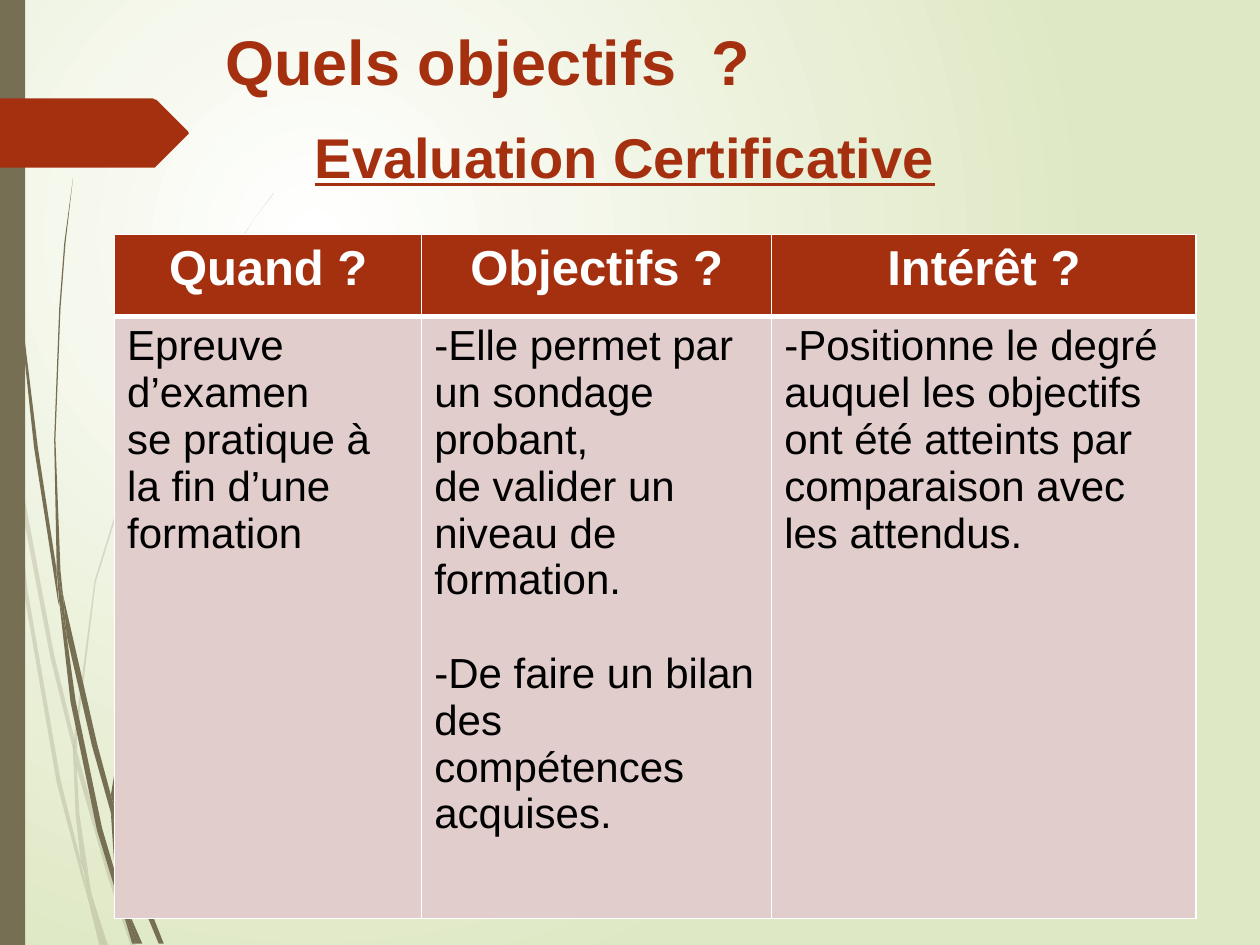
from pptx import Presentation
from pptx import util as u
from pptx.dml.color import RGBColor
from pptx.enum import shapes, text
from pptx.oxml.ns import qn
from lxml import etree

COLORS = {"rust": "A53010", "olive": "766F54", "pink": "E1CDCC",
          "leaf": "DFE8C4", "white": "FFFFFF", "black": "000000"}
FONT = "Arial"

# Headings: text, size, underlined, (left, top, width, height)
HEADINGS = [
    ("Quels objectifs  ?", 36, False, (121.7, 9.4, 561.6, 51)),
    ("Evaluation Certificative", 32, True, (172.8, 66.2, 425.5, 46)),
]

# Table: one (heading, width, paragraphs) per column
COLUMNS = [
    ("Quand ?", 175.5, ["Epreuve d’examen",
                        "se pratique à la fin d’une formation"]),
    ("Objectifs ?", 200, ["-Elle permet par un sondage probant,",
                          "de valider un niveau de formation.",
                          "-De faire un bilan des compétences acquises."]),
    ("Intérêt ?", 242.5, ["-Positionne le degré auquel les objectifs ont été "
                          "atteints par comparaison avec les attendus."]),
]
TABLE_LEFT, TABLE_TOP = 65.5, 134
ROW_HEIGHTS = [46.8, 344.2]
GAP_BEFORE = {"-De faire un bilan des compétences acquises.": 26.7}

# Outlines on a grid of 0.72 points
GRID = 0.72
PALE_BLADES = [
    [(8, 350), (6, 322), (0, 282), (0, 299), (7, 344)],
    [(40, 522), (59, 599), (59, 586), (43, 520), (10, 345), (12, 376)],
    [(64, 607), (61, 596), (61, 610), (85, 694), (104, 751), (108, 751),
     (88, 692)],
    [(83, 751), (86, 751), (73, 711)],
    [(64, 683), (48, 619), (22, 469), (12, 376), (8, 350), (19, 470),
     (45, 621), (64, 693), (70, 714), (69, 707)],
    [(58, 599), (60, 646), (64, 683), (67, 692), (73, 711), (72, 706),
     (63, 646), (61, 610), (61, 608)],
    [(61, 584), (76, 462), (111, 349), (159, 245), (187, 198), (201, 175),
     (217, 154), (217, 153), (201, 175), (186, 197), (158, 244), (110, 348),
     (75, 461), (59, 584), (59, 586), (61, 596)],
    [(70, 714), (79, 751), (82, 751)],
    [(61, 608), (61, 610), (61, 596), (59, 586), (58, 599)],
    [(67, 692), (65, 683), (69, 707), (70, 714), (82, 751), (83, 751),
     (73, 711)],
]
DARK_BLADES = [
    [(5, 110), (14, 233), (27, 355), (46, 477), (47, 481), (45, 457),
     (45, 453), (30, 355), (15, 232), (6, 109), (4, 48), (3, 0), (2, 0),
     (3, 48)],
    [(73, 592), (88, 645), (88, 633), (88, 631), (77, 590), (50, 472),
     (53, 505)],
    [(94, 649), (91, 641), (91, 656), (109, 708), (126, 749), (130, 749),
     (113, 706)],
    [(91, 691), (81, 657), (60, 556), (53, 505), (47, 477), (56, 557),
     (77, 659), (92, 708), (97, 722), (96, 717)],
    [(50, 472), (48, 453), (44, 349), (48, 245), (52, 193), (58, 141),
     (51, 193), (47, 245), (43, 349), (45, 449), (49, 472)],
    [(110, 749), (113, 749), (100, 719)],
    [(47, 477), (53, 505), (50, 472), (49, 472), (45, 449), (45, 453)],
    [(91, 633), (103, 552), (131, 476), (169, 406), (191, 374), (203, 359),
     (216, 344), (215, 344), (203, 358), (191, 373), (168, 405), (129, 474),
     (101, 551), (88, 631), (91, 641)],
    [(97, 722), (105, 749), (108, 749)],
    [(88, 645), (91, 691), (96, 706), (100, 719), (100, 716), (91, 656),
     (90, 651)],
    [(88, 645), (90, 651), (91, 656), (91, 641), (88, 631), (88, 633)],
    [(96, 706), (91, 691), (96, 717), (97, 722), (108, 749), (110, 749),
     (100, 719)],
]
ARROW = [(149, 107), (124, 132), (123, 133), (121, 133), (0, 133), (0, 78),
         (121, 78), (123, 79), (124, 79), (149, 104), (149.5, 105.5)]


def rgb(name):
    return RGBColor.from_string(COLORS[name])


def paint(shape, color, opacity=100):
    shape.shadow.inherit = False
    shape.fill.solid()
    shape.fill.fore_color.rgb = rgb(color)
    shape.line.fill.background()
    if opacity < 100:
        tint = shape.fill._xPr.find(".//" + qn("a:srgbClr"))
        etree.SubElement(tint, qn("a:alpha"), val=str(opacity * 1000))


def draw_outline(page, points, color, opacity=100):
    builder = page.shapes.build_freeform(*points[0], scale=u.Pt(GRID))
    builder.add_line_segments(points[1:], close=True)
    paint(builder.convert_to_shape(), color, opacity)


def style(para, size, color, bold=False, underline=False):
    for span in para.runs:
        font = span.font
        font.name, font.size, font.bold = FONT, u.Pt(size), bold
        font.color.rgb = rgb(color)
        if underline:
            font.underline = True


def set_borders(cell, bottom):
    props = cell._tc.get_or_add_tcPr()
    sides = {"a:lnL": 1, "a:lnR": 1, "a:lnT": 1, "a:lnB": bottom}
    for place, (tag, width) in enumerate(sides.items()):
        line = etree.Element(qn(tag), w=str(u.Pt(width)))
        fill = etree.SubElement(line, qn("a:solidFill"))
        etree.SubElement(fill, qn("a:srgbClr"), val=COLORS["white"])
        props.insert(place, line)


def set_background(page):
    fill = page.background.fill
    fill.gradient()
    for stop, position, color in zip(fill.gradient_stops, (0, 1),
                                     ("white", "leaf")):
        stop.position = position
        stop.color.rgb = rgb(color)
    gradient = page.element.find(".//" + qn("a:gradFill"))
    gradient.remove(gradient.find(qn("a:lin")))
    circle = etree.SubElement(gradient, qn("a:path"))
    circle.set("path", "circle")
    etree.SubElement(circle, qn("a:fillToRect"), l="50000", t="50000",
                     r="100000", b="100000")


def add_heading(page, words, size, underline, place):
    box = page.shapes.add_textbox(*map(u.Pt, place))
    frame = box.text_frame
    frame.word_wrap = True
    frame.auto_size = text.MSO_AUTO_SIZE.SHAPE_TO_FIT_TEXT
    frame.text = words
    style(frame.paragraphs[0], size, "rust", True, underline)


def add_objectives(page):
    width = sum(column[1] for column in COLUMNS)
    table = page.shapes.add_table(
        len(ROW_HEIGHTS), len(COLUMNS), u.Pt(TABLE_LEFT), u.Pt(TABLE_TOP),
        u.Pt(width), u.Pt(sum(ROW_HEIGHTS))).table
    for row, height in zip(table.rows, ROW_HEIGHTS):
        row.height = u.Pt(height)
    for index, (heading, width, lines) in enumerate(COLUMNS):
        table.columns[index].width = u.Pt(width)
        head, body = table.cell(0, index), table.cell(1, index)
        for cell, words, color, bottom in ((head, heading, "rust", 3),
                                           (body, "\n".join(lines), "pink", 1)):
            cell.text_frame.text = words
            cell.fill.solid()
            cell.fill.fore_color.rgb = rgb(color)
            set_borders(cell, bottom)
        title = head.text_frame.paragraphs[0]
        title.alignment = text.PP_ALIGN.CENTER
        style(title, 28, "white", bold=True)
        for para in body.text_frame.paragraphs:
            style(para, 24, "black")
            if para.text in GAP_BEFORE:
                para.space_before = u.Pt(GAP_BEFORE[para.text])


def main():
    deck = Presentation()
    deck.slide_width, deck.slide_height = u.Pt(720), u.Pt(540)
    page = deck.slides.add_slide(deck.slide_layouts[6])
    set_background(page)

    # Grass, side band and arrow
    for blades, opacity in ((PALE_BLADES, 20), (DARK_BLADES, 100)):
        for blade in blades:
            draw_outline(page, blade, "olive", opacity)
    band = page.shapes.add_shape(shapes.MSO_SHAPE.RECTANGLE, 0, 0,
                                 u.Pt(14.4), u.Pt(540))
    paint(band, "olive")
    draw_outline(page, ARROW, "rust")

    # Headings and table
    for heading in HEADINGS:
        add_heading(page, *heading)
    add_objectives(page)
    deck.save("out.pptx")


if __name__ == "__main__":
    main()
